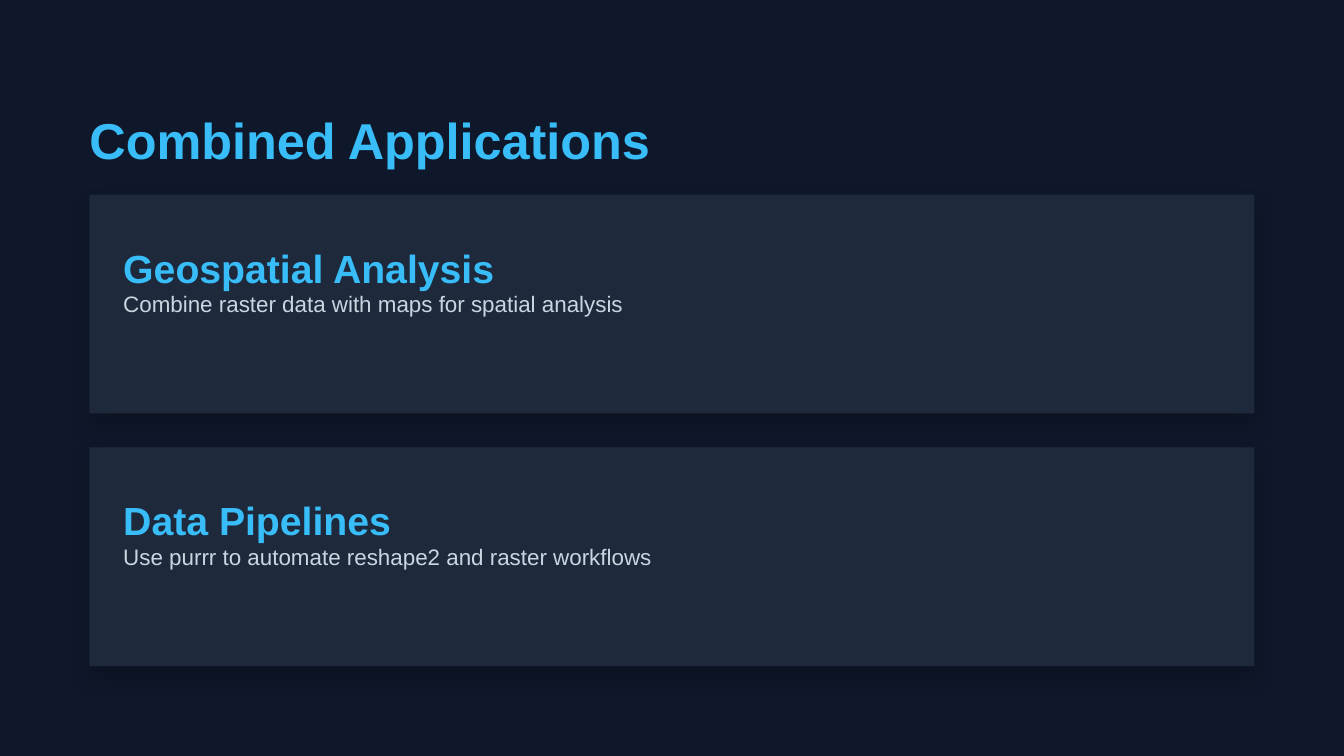
from dataclasses import dataclass

from lxml import etree
from pptx import Presentation
from pptx import util as u
from pptx.dml.color import RGBColor
from pptx.enum import shapes, text
from pptx.oxml.ns import qn


@dataclass(frozen=True)
class Theme:
    font: str = "Arial"
    background: str = "0F172A"
    card: str = "1E293B"
    accent: str = "38BDF8"
    body: str = "CBD5E1"
    shadow: str = "000000"
    title_size: float = 27
    heading_size: float = 21
    body_size: float = 12
    title_leading: float = 43.2
    heading_leading: float = 33.6
    body_leading: float = 22.4


THEME = Theme()
CARDS = [
    ("Geospatial Analysis", "Combine raster data with maps for spatial analysis"),
    ("Data Pipelines", "Use purrr to automate reshape2 and raster workflows"),
]


def write_text(shape, content, *, size, leading, color, bold=False):
    frame = shape.text_frame
    frame.word_wrap = True
    frame.auto_size = text.MSO_AUTO_SIZE.NONE
    frame.vertical_anchor = text.MSO_ANCHOR.TOP
    frame.margin_left = frame.margin_right = 0
    frame.margin_top = frame.margin_bottom = 0
    paragraph = frame.paragraphs[0]
    paragraph.alignment = text.PP_ALIGN.LEFT
    paragraph.line_spacing = u.Pt(leading)
    run = paragraph.add_run()
    run.text = content
    run.font.name = THEME.font
    run.font.size = u.Pt(size)
    run.font.bold = bold
    run.font.color.rgb = RGBColor.from_string(color)


def add_soft_shadow(shape, *, opacity, blur, distance):
    shape.shadow.inherit = False
    effects = shape._element.spPr.find(qn("a:effectLst"))
    shadow = etree.SubElement(
        effects,
        qn("a:outerShdw"),
        blurRad=str(u.Pt(blur)),
        dist=str(u.Pt(distance)),
        dir=str(90 * 60000),
        algn="ctr",
        rotWithShape="0",
    )
    color = etree.SubElement(shadow, qn("a:srgbClr"), val=THEME.shadow)
    etree.SubElement(color, qn("a:alpha"), val=str(opacity * 1000))


def place_title(slide, content, left, top, width, height):
    title = slide.shapes.title
    title.left, title.top, title.width, title.height = left, top, width, height
    write_text(title, content, size=THEME.title_size, leading=THEME.title_leading,
               color=THEME.accent, bold=True)


def add_card(slide, heading, body, left, top, width, height):
    card = slide.shapes.add_shape(shapes.MSO_SHAPE.RECTANGLE, left, top, width, height)
    card.fill.solid()
    card.fill.fore_color.rgb = RGBColor.from_string(THEME.card)
    card.line.fill.background()
    add_soft_shadow(card, opacity=20, blur=12, distance=6)

    padding, heading_height, body_height = u.Cm(0.64), u.Cm(0.89), u.Cm(0.58)
    inner_left, inner_top = left + padding, top + padding
    inner_width = width - u.Cm(0.85)
    heading_box = slide.shapes.add_textbox(inner_left, inner_top, inner_width, heading_height)
    write_text(heading_box, heading, size=THEME.heading_size,
               leading=THEME.heading_leading, color=THEME.accent, bold=True)
    body_box = slide.shapes.add_textbox(
        inner_left, inner_top + heading_height, inner_width, body_height)
    write_text(body_box, body, size=THEME.body_size,
               leading=THEME.body_leading, color=THEME.body)


def add_card_stack(slide, cards, left, top, width, height):
    gap = u.Cm(0.64)
    card_height = (height - gap * (len(cards) - 1)) // len(cards)
    for index, (heading, body) in enumerate(cards):
        card_top = top + index * (card_height + gap)
        add_card(slide, heading, body, left, card_top, width, card_height)


def main():
    presentation = Presentation()
    presentation.slide_width = u.Cm(25.4)
    presentation.slide_height = u.Cm(14.29)
    slide = presentation.slides.add_slide(presentation.slide_layouts.get_by_name("Title Only"))
    slide.background.fill.solid()
    slide.background.fill.fore_color.rgb = RGBColor.from_string(THEME.background)

    margin = u.Cm(1.69)
    place_title(slide, "Combined Applications", margin, margin, u.Cm(22.45), u.Cm(1.14))
    add_card_stack(slide, CARDS, margin, u.Cm(3.68),
                   presentation.slide_width - 2 * margin, u.Cm(8.91))
    presentation.save("out.pptx")


if __name__ == "__main__":
    main()
